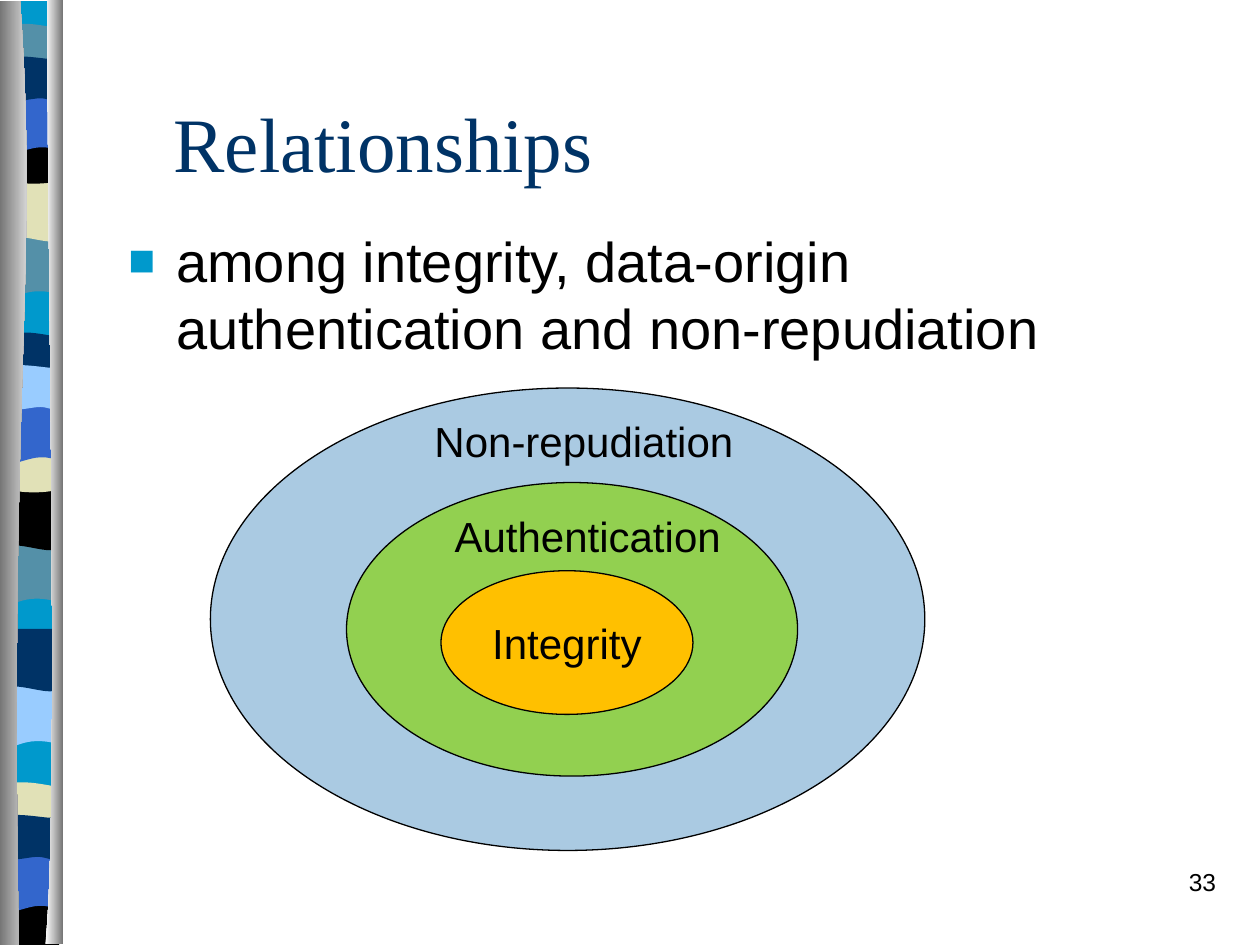
from lxml import etree
from pptx import Presentation
from pptx.dml.color import RGBColor
from pptx.enum.shapes import MSO_SHAPE as Shape
from pptx.enum.text import MSO_ANCHOR as Anchor, MSO_AUTO_SIZE as AutoSize, PP_ALIGN as Align
from pptx.oxml.ns import qn
from pptx.util import Inches, Pt

TEAL, SLATE, NAVY, BLUE = "0099CC", "5490A8", "003366", "3366CC"
SKY, SAND, BLACK, GREY = "99CCFF", "E1E1B7", "000000", "767676"

# Outlines in inches: pairs are corners, sixes are cubic curves
OUTLINES = {
    "base": [(0.45, 0), (0.45, 7.47), (0, 7.47), (0, 0)],
    "swell": [(0.45, 0), (0.45, 0.47), (0.14, 0.38, 0.08, 0.54, 0, 0.47), (0, 0)],
    "dip": [(0.45, 0), (0.45, 0.47), (0.37, 0.55, 0.14, 0.42, 0, 0.47), (0, 0)],
    "ribbon": [(0.45, 0.05), (0.45, 0.29), (0.37, 0.33, 0.08, 0.33, 0, 0.29),
               (0, 0.05), (0.03, 0, 0.1, 0.01, 0.17, 0.01),
               (0.25, 0.01, 0.39, 0.04, 0.45, 0.05)],
    "lens": [(0.45, 0), (0.45, 0.33), (0.38, 0.38, 0.08, 0.38, 0, 0.33),
             (0, 0), (0.28, 0.05, 0.36, 0, 0.45, 0)],
    "foot": [(0.44, 0), (0.44, 0.38), (0, 0.38), (0, 0),
             (0.27, 0.05, 0.35, 0, 0.44, 0)],
    "arch": [(0.45, 0), (0.45, 0.47), (0.38, 0.41, 0.35, 0.41, 0.28, 0.41),
             (0.2, 0.41, 0.07, 0.47, 0, 0.47), (0, 0)],
    "tail": [(0.45, 0.05), (0.45, 0.36), (0.42, 0.41, 0.35, 0.36, 0.28, 0.36),
             (0.2, 0.36, 0.05, 0.41, 0, 0.36), (0, 0.05),
             (0.07, 0, 0.31, 0.05, 0.38, 0.05),
             (0.45, 0.05, 0.43, 0.05, 0.45, 0.05)],
    "left bar": [(0.16, 0), (0.31, 2.16, 0.07, 2.95, 0.15, 7.49), (0, 7.49), (0, 0)],
    "right bar": [(0.02, 0), (0, 1.25, 0.12, 6.46, 0, 7.49), (0.14, 7.49), (0.14, 0)],
}

# Outline, left, top, colour, from back to front
BANDS = [
    ("base", 0.04, 0.01, TEAL),
    ("swell", 0.04, 1.87, SLATE), ("dip", 0.04, 1.42, SAND),
    ("ribbon", 0.04, 0.18, SLATE), ("lens", 0.04, 1.09, BLACK),
    ("arch", 0.04, 0.76, BLUE), ("tail", 0.04, 0.42, NAVY),
    ("swell", 0.02, 4.31, SLATE), ("dip", 0.03, 3.87, BLACK),
    ("ribbon", 0.04, 2.63, NAVY), ("lens", 0.04, 3.54, SAND),
    ("arch", 0.04, 3.22, BLUE), ("tail", 0.04, 2.87, SKY),
    ("swell", 0.03, 5.44, SKY), ("dip", 0.03, 4.99, NAVY),
    ("ribbon", 0.03, 6.2, SAND), ("foot", 0.03, 7.12, BLACK),
    ("arch", 0.03, 6.78, BLUE), ("tail", 0.02, 6.44, NAVY),
]


def color(value):
    return RGBColor.from_string(value)


def bend(shape, outline):
    """Join each three lines that stand for a cubic curve into that curve."""
    lines = iter(list(shape._element.iter(qn("a:lnTo"))))
    for part in outline[1:]:
        line = next(lines)
        if len(part) == 6:
            line.tag = qn("a:cubicBezTo")
            for other in (next(lines), next(lines)):
                line.append(other[0])
                other.getparent().remove(other)


def add_outline(page, name, left, top):
    outline = OUTLINES[name]
    points = [(Inches(left + part[i]), Inches(top + part[i + 1]))
              for part in outline for i in range(0, len(part), 2)]
    builder = page.shapes.build_freeform(*points[0], scale=1.0)
    builder.add_line_segments(points[1:], close=True)
    shape = builder.convert_to_shape()
    bend(shape, outline)
    shape.shadow.inherit = False
    shape.line.fill.background()
    return shape


def add_ribbon(page, left, top):
    """Coloured bands between two metallic bars."""
    for name, x, y, fill in BANDS:
        band = add_outline(page, name, left + x, top + y)
        band.fill.solid()
        band.fill.fore_color.rgb = color(fill)
    for name, x, y, stops in [("left bar", 0, 0.01, (GREY, "FFFFFF")),
                              ("right bar", 0.36, 0, ("FFFFFF", GREY))]:
        fill = add_outline(page, name, left + x, top + y).fill
        fill.gradient()
        fill.gradient_angle = 0
        for stop, value in zip(fill.gradient_stops, stops):
            stop.color.rgb = color(value)


def style(para, size, font="Arial", ink=BLACK):
    para.font.size = Pt(size)
    para.font.name = font
    para.font.color.rgb = color(ink)


def add_text(page, text, left, top, width, height, wrap=True):
    box = page.shapes.add_textbox(Inches(left), Inches(top), Inches(width), Inches(height))
    box.text_frame.word_wrap = wrap
    box.text_frame.text = text
    return box.text_frame


def add_title(page, text, *place):
    frame = add_text(page, text, *place)
    frame.vertical_anchor = Anchor.MIDDLE
    style(frame.paragraphs[0], 44, "Times New Roman", NAVY)


def add_bullet(page, text, *place):
    para = add_text(page, text, *place).paragraphs[0]
    props = para._p.get_or_add_pPr()
    props.set("marL", str(Inches(0.38)))
    props.set("indent", str(-Inches(0.38)))
    bullet_color = etree.SubElement(props, qn("a:buClr"))
    etree.SubElement(bullet_color, qn("a:srgbClr"), val=TEAL)
    etree.SubElement(props, qn("a:buSzPct"), val="80000")
    etree.SubElement(props, qn("a:buFont"), typeface="Arial")
    etree.SubElement(props, qn("a:buChar"), char="■")
    style(para, 32)


def add_page_number(page, text, *place):
    para = add_text(page, text, *place).paragraphs[0]
    para.alignment = Align.RIGHT
    style(para, 14)


def add_ellipse(page, fill, left, top, width, height):
    ellipse = page.shapes.add_shape(Shape.OVAL, Inches(left), Inches(top),
                                    Inches(width), Inches(height))
    ellipse.shadow.inherit = False
    ellipse.fill.solid()
    ellipse.fill.fore_color.rgb = color(fill)
    ellipse.line.color.rgb = color(BLACK)
    ellipse.line.width = Pt(0.75)
    return ellipse


def add_nested_sets(page, left, top):
    """Three ellipses, one inside the other, with their labels."""
    add_ellipse(page, "AACAE2", left, top, 5.67, 3.67)
    add_ellipse(page, "92D050", left + 1.08, top + 0.75, 3.58, 2.33)
    frame = add_ellipse(page, "FFC000", left + 1.83, top + 1.45, 2, 1.14).text_frame
    frame.word_wrap = False
    frame.vertical_anchor = Anchor.MIDDLE
    frame.text = "Integrity"
    frame.paragraphs[0].alignment = Align.CENTER
    style(frame.paragraphs[0], 24)
    for text, x, y, width in [("Authentication", 1.84, 0.92, 2.31),
                              ("Non-repudiation", 1.68, 0.17, 2.57)]:
        label = add_text(page, text, left + x, top + y, width, 0.5, wrap=False)
        label.auto_size = AutoSize.SHAPE_TO_FIT_TEXT
        style(label.paragraphs[0], 24)


def main():
    deck = Presentation()
    deck.slide_width, deck.slide_height = Inches(10), Inches(7.5)
    page = deck.slides.add_slide(deck.slide_layouts[6])
    add_ribbon(page, 0, 0)
    add_page_number(page, "33", 7.67, 6.83, 2.08, 0.5)
    add_title(page, "Relationships", 1.28, 0.5, 8.5, 1.25)
    add_bullet(page, "among integrity, data-origin authentication and non-repudiation",
               0.92, 1.75, 8.5, 4.5)
    add_nested_sets(page, 1.67, 3.08)
    deck.save("out.pptx")


if __name__ == "__main__":
    main()
